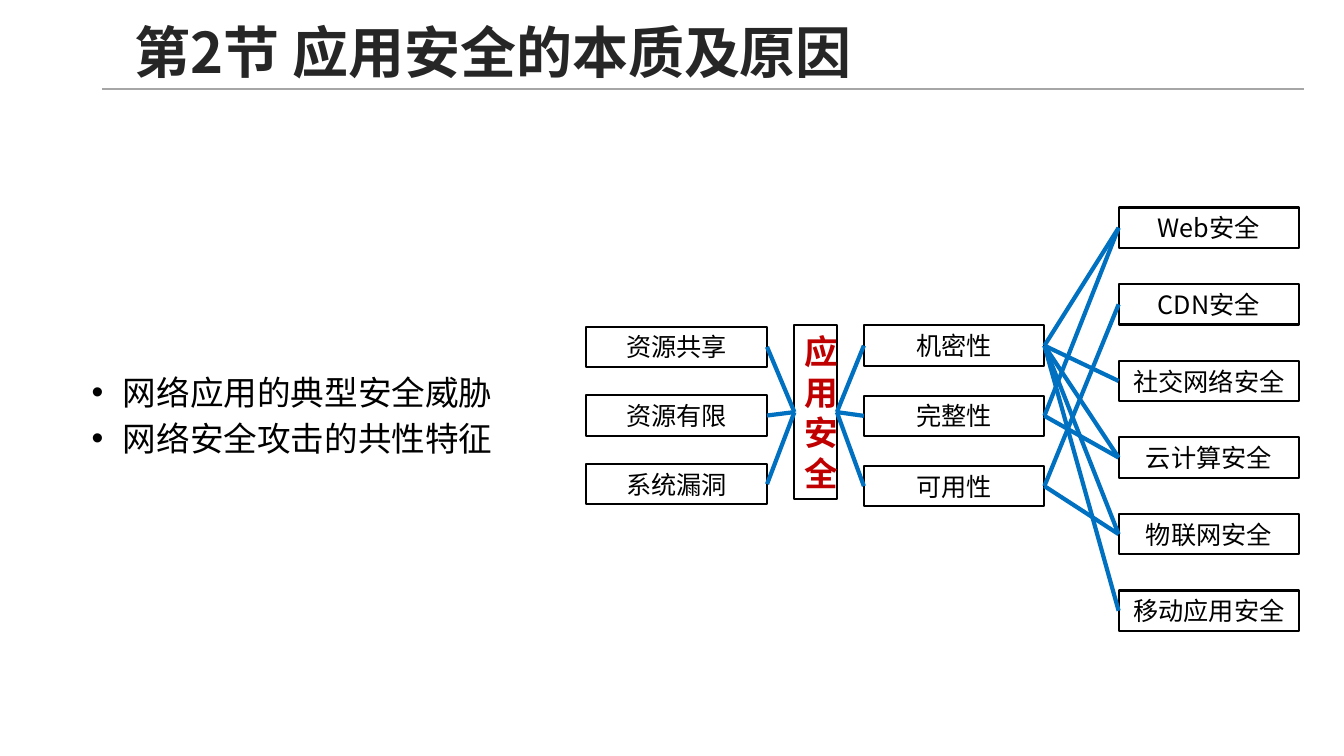
from dataclasses import dataclass

from lxml import etree
from pptx import Presentation
from pptx.dml.color import RGBColor
from pptx.enum import shapes, text
from pptx.oxml import ns
from pptx.util import Cm, Pt

BLACK = RGBColor(0x00, 0x00, 0x00)
DARK = RGBColor(0x26, 0x26, 0x26)
GREY = RGBColor(0xA6, 0xA6, 0xA6)
RED = RGBColor(0xC0, 0x00, 0x00)
BLUE = RGBColor(0x00, 0x70, 0xC0)
CJK = "Noto Sans CJK SC"
BOX_W, BOX_H = 4.55, 1.02
LEFT_SITE, RIGHT_SITE = 1, 3


@dataclass
class Column:
    left: float
    top: float
    pitch: float
    labels: list[str]


CAUSES = Column(14.78, 8.23, 1.73, ["资源共享", "资源有限", "系统漏洞"])
GOALS = Column(21.77, 8.2, 1.77, ["机密性", "完整性", "可用性"])
FIELDS = Column(28.19, 5.23, 1.93, ["Web安全", "CDN安全", "社交网络安全",
                                    "云计算安全", "物联网安全", "移动应用安全"])
# Fields that depend on each goal, by position
GOAL_FIELDS = [[0, 2, 3, 4, 5], [0, 3], [4, 1]]


def write(sp, content: str, size: float, color: RGBColor, bold: bool = False,
          font: str = CJK) -> None:
    tf = sp.text_frame
    tf.word_wrap = True
    tf.text = content
    for p in tf.paragraphs:
        for r in p.runs:
            r.font.size, r.font.bold, r.font.name = Pt(size), bold, font
            r.font.color.rgb = color
            ea = etree.SubElement(r.font._element, ns.qn("a:ea"))
            ea.set("typeface", CJK)


def add_box(s, left: float, top: float, width: float, height: float,
            label: str, size: float = 18, color: RGBColor = BLACK,
            bold: bool = False):
    sp = s.shapes.add_shape(shapes.MSO_SHAPE.RECTANGLE,
                            Cm(left), Cm(top), Cm(width), Cm(height))
    sp.shadow.inherit = False
    sp.fill.background()
    sp.line.color.rgb = BLACK
    sp.line.width = Pt(1.5)
    write(sp, label, size, color, bold)
    tf = sp.text_frame
    tf.vertical_anchor = text.MSO_ANCHOR.MIDDLE
    tf.margin_top = tf.margin_bottom = 0
    for p in tf.paragraphs:
        p.alignment = text.PP_ALIGN.CENTER
    return sp


def add_column(s, col: Column) -> list:
    return [add_box(s, col.left, col.top + i * col.pitch, BOX_W, BOX_H, label)
            for i, label in enumerate(col.labels)]


def add_line(s, x1: float, y1: float, x2: float, y2: float,
             color: RGBColor, width: float):
    line = s.shapes.add_connector(shapes.MSO_CONNECTOR.STRAIGHT,
                                  Cm(x1), Cm(y1), Cm(x2), Cm(y2))
    line.line.color.rgb = color
    line.line.width = Pt(width)
    etree.SubElement(line._element.spPr, ns.qn("a:effectLst"))
    return line


def link(s, source, target) -> None:
    line = add_line(s, 0, 0, 1, 1, BLUE, 3)
    line.begin_connect(source, RIGHT_SITE)
    line.end_connect(target, LEFT_SITE)


def add_bullets(s, items: list[str]) -> None:
    sp = s.shapes.add_textbox(Cm(2.06), Cm(9.09), Cm(11.25), Cm(3.33))
    write(sp, "\n".join(items), 24, BLACK, font="Arial")
    for p in sp.text_frame.paragraphs:
        pPr = p._p.get_or_add_pPr()
        pPr.set("marL", str(Cm(0.79)))
        pPr.set("indent", str(-Cm(0.79)))
        etree.SubElement(pPr, ns.qn("a:buFont")).set("typeface", "Arial")
        etree.SubElement(pPr, ns.qn("a:buChar")).set("char", "•")
        p.line_spacing = Pt(33)


def main() -> None:
    prs = Presentation()
    prs.slide_width, prs.slide_height = Cm(33.87), Cm(19.05)
    s = prs.slides.add_slide(prs.slide_layouts[6])

    # Title and rule
    add_line(s, 2.57, 2.24, 32.87, 2.24, GREY, 1)
    title = s.shapes.add_textbox(Cm(3.15), Cm(0.38), Cm(28.4), Cm(2.01))
    write(title, "第2节 应用安全的本质及原因", 40, DARK, bold=True)
    title.text_frame.vertical_anchor = text.MSO_ANCHOR.MIDDLE
    title.text_frame.paragraphs[0].line_spacing = 0.9

    # Boxes
    core = add_box(s, 20.02, 8.2, 1.07, 4.37, "应用\n安全", 24, RED, bold=True)
    for p in core.text_frame.paragraphs:
        p.line_spacing = Pt(29)
    causes, goals, fields = [add_column(s, c) for c in (CAUSES, GOALS, FIELDS)]

    # Links
    for cause in causes:
        link(s, cause, core)
    for goal, positions in zip(goals, GOAL_FIELDS):
        link(s, core, goal)
        for i in positions:
            link(s, goal, fields[i])

    # Key points
    add_bullets(s, ["网络应用的典型安全威胁", "网络安全攻击的共性特征"])

    prs.save("out.pptx")


if __name__ == "__main__":
    main()
